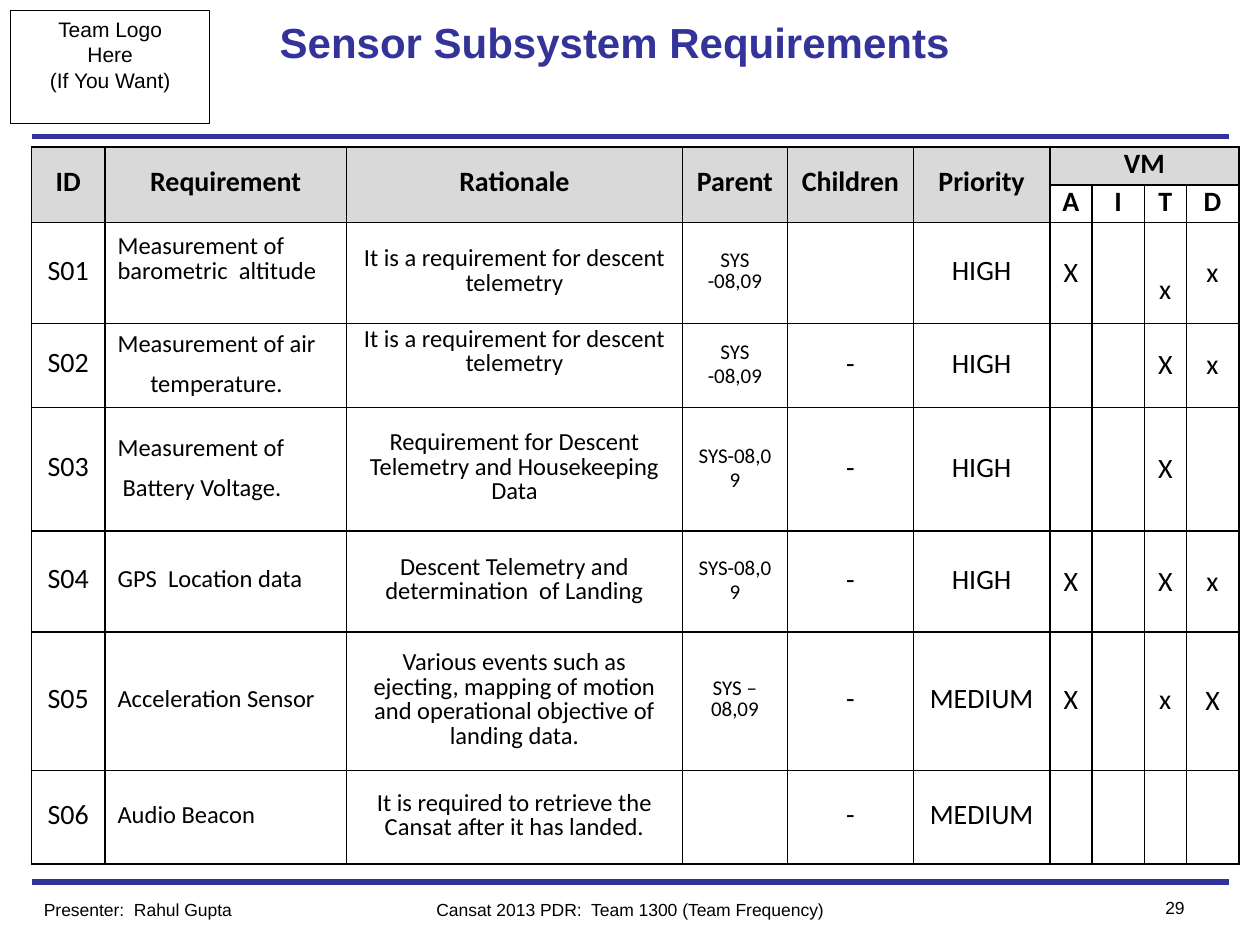
from dataclasses import dataclass

from lxml.etree import SubElement
from pptx import Presentation
from pptx.dml.color import RGBColor
from pptx.enum.shapes import MSO_CONNECTOR, MSO_SHAPE
from pptx.enum.text import MSO_ANCHOR, MSO_AUTO_SIZE, PP_ALIGN
from pptx.oxml.ns import qn
from pptx.util import Inches, Pt

LEFT, MID, RIGHT = PP_ALIGN.LEFT, PP_ALIGN.CENTER, PP_ALIGN.RIGHT

HEADS = ["ID", "Requirement", "Rationale", "Parent", "Children", "Priority", "VM"]
CHECKS = "AITD"
NEEDS = [
    ["S01", "Measurement of barometric  altitude", "It is a requirement for descent telemetry",
     "SYS -08,09", "", "HIGH", "X", "", "x", "x"],
    ["S02", "Measurement of air\ntemperature.", "It is a requirement for descent telemetry",
     "SYS -08,09", "-", "HIGH", "", "", "X", "x"],
    ["S03", "Measurement of\nBattery Voltage.",
     "Requirement for Descent Telemetry and Housekeeping Data",
     "SYS-08,09", "-", "HIGH", "", "", "X", ""],
    ["S04", "GPS  Location data", "Descent Telemetry and determination  of Landing",
     "SYS-08,09", "-", "HIGH", "X", "", "X", "x"],
    ["S05", "Acceleration Sensor",
     "Various events such as ejecting, mapping of motion and operational objective of landing data.",
     "SYS – 08,09", "-", "MEDIUM", "X", "", "x", "X"],
    ["S06", "Audio Beacon", "It is required to retrieve the Cansat after it has landed.",
     "", "-", "MEDIUM", "", "", "", ""],
]
COLS = [7, 23, 32, 10, 12, 13, 4, 5, 4, 5]
ROWS = [3.6, 3.6, 9.6, 8, 11.8, 9.6, 13.2, 8.9]
SIZES = ["grid", "cell", "cell", "small"] + ["grid"] * 6
TIGHT, SNUG = 0.82, 0.93
SHIFTS = {
    ("S01", 1): {"low": 0.24},
    ("S01", 8): {"top": 0.32},
    ("S02", 2): {"low": 0.24},
    ("S05", 6): {"top": 0.03, "line": SNUG},
    ("S05", 8): {"top": 0.03, "line": SNUG},
}
INDENTS = {"S02": 0.26, "S03": 0.04}


@dataclass(frozen=True)
class Theme:
    blue = RGBColor.from_string("333399")
    black = RGBColor.from_string("000000")
    gray = RGBColor.from_string("D9D9D9")
    face = "Arial"
    body = "Calibri"
    sizes = {"title": 24, "grid": 16, "cell": 14, "small": 12, "foot": 10}


class Page:
    def __init__(self, deck, theme):
        self.theme = theme
        self.slide = deck.slides.add_slide(deck.slide_layouts[5])
        self.wide = deck.slide_width / 120
        self.high = deck.slide_height / 90

    def place(self, x, y, w, h):
        return (round(x * self.wide), round(y * self.high),
                round(w * self.wide), round(h * self.high))

    def label(self, frame, text, size, align=LEFT, face=None, hue=None, bold=False, line=None):
        frame.text = text
        for para in frame.paragraphs:
            para.alignment = align
            para.line_spacing = line
            for run in para.runs:
                run.font.name = face or self.theme.face
                run.font.size = Pt(self.theme.sizes[size])
                run.font.bold = bold
                run.font.color.rgb = hue or self.theme.black

    def title(self, text, *box):
        head = self.slide.shapes.title
        head.left, head.top, head.width, head.height = self.place(*box)
        frame = head.text_frame
        frame.auto_size = MSO_AUTO_SIZE.NONE
        frame.vertical_anchor = MSO_ANCHOR.TOP
        frame.margin_left = Inches(0.47)
        self.label(frame, text, "title", hue=self.theme.blue, bold=True)

    def rule(self, x, y, width):
        left, top, span, _ = self.place(x, y, width, 0)
        line = self.slide.shapes.add_connector(MSO_CONNECTOR.STRAIGHT, left, top, left + span, top)
        line.line.color.rgb = self.theme.blue
        line.line.width = Pt(3)
        SubElement(line._element.spPr, qn("a:effectLst"))

    def frame(self, text, *box):
        shape = self.slide.shapes.add_shape(MSO_SHAPE.RECTANGLE, *self.place(*box))
        shape.shadow.inherit = False
        shape.fill.background()
        shape.line.color.rgb = self.theme.black
        shape.line.width = Pt(0.5)
        shape.text_frame.word_wrap = False
        shape.text_frame.vertical_anchor = MSO_ANCHOR.TOP
        self.label(shape.text_frame, text, "small", MID)

    def note(self, text, align, *box):
        frame = self.slide.shapes.add_textbox(*self.place(*box)).text_frame
        frame.word_wrap = True
        self.label(frame, text, "foot", align)

    def edge(self, cell):
        props = cell._tc.get_or_add_tcPr()
        for side in ("lnL", "lnR", "lnT", "lnB"):
            line = SubElement(props, qn("a:" + side), w=str(Pt(1)))
            fill = SubElement(line, qn("a:solidFill"))
            SubElement(fill, qn("a:srgbClr"), val=str(self.theme.black))

    def cell(self, cell, text, size, align=MID, line=TIGHT, top=0.03, low=0.05,
             bold=False, shade=False):
        self.edge(cell)
        if shade:
            cell.fill.solid()
            cell.fill.fore_color.rgb = self.theme.gray
        else:
            cell.fill.background()
        cell.vertical_anchor = MSO_ANCHOR.MIDDLE
        cell.margin_left = cell.margin_right = Inches(0.1)
        cell.margin_top, cell.margin_bottom = Inches(top), Inches(low)
        self.label(cell.text_frame, text, size, align, self.theme.body, bold=bold, line=line)

    def table(self, x, y):
        box = self.place(x, y, sum(COLS), sum(ROWS))
        grid = self.slide.shapes.add_table(len(ROWS), len(COLS), *box).table
        grid.first_row = grid.horz_banding = False
        for col, width in zip(grid.columns, COLS):
            col.width = round(width * self.wide)
        for row, height in zip(grid.rows, ROWS):
            row.height = round(height * self.high)
        self.heads(grid)
        for row, need in enumerate(NEEDS, 2):
            self.need(grid, row, need)

    def heads(self, grid):
        last = len(HEADS) - 1
        tops = HEADS + [""] * (len(COLS) - len(HEADS))
        lows = [""] * last + list(CHECKS)
        for col, (top, low) in enumerate(zip(tops, lows)):
            self.cell(grid.cell(0, col), top, "grid", bold=True, shade=True)
            self.cell(grid.cell(1, col), low, "grid", bold=True, shade=col < last)
        for col in range(last):
            grid.cell(0, col).merge(grid.cell(1, col))
        grid.cell(0, last).merge(grid.cell(0, len(COLS) - 1))

    def need(self, grid, row, need):
        code = need[0]
        for col, text in enumerate(need):
            look = {"align": LEFT if col == 1 else MID}
            if col > 5:
                look.update(line=1.0, top=0.05)
            elif col > 2 and code in ("S02", "S03", "S04"):
                look.update(line=SNUG)
            elif "\n" in text:
                look.update(line=1.0)
            look.update(SHIFTS.get((code, col), {}))
            cell = grid.cell(row, col)
            self.cell(cell, text, SIZES[col], **look)
            for para in cell.text_frame.paragraphs[1:]:
                para.space_before = Pt(6)
                para._p.get_or_add_pPr().set("marL", str(Inches(INDENTS[code])))


def main():
    deck = Presentation()
    deck.slide_width, deck.slide_height = Inches(10), Inches(7.5)
    page = Page(deck, Theme())
    for y in (84, 13):
        page.rule(3, y, 114)
    page.frame("Team Logo\nHere\n(If You Want)", 1, 1, 19, 10.8)
    page.note("Cansat 2013 PDR:  Team 1300 (Team Frequency)", MID, 36, 85, 48, 3.2)
    page.note("29", RIGHT, 105, 84.8, 9, 3.2)
    page.title("Sensor Subsystem Requirements", 21, 1, 78, 11)
    page.table(3, 14)
    page.note("Presenter:  Rahul Gupta", LEFT, 3, 85, 30, 3.2)
    deck.save("out.pptx")


if __name__ == "__main__":
    main()
